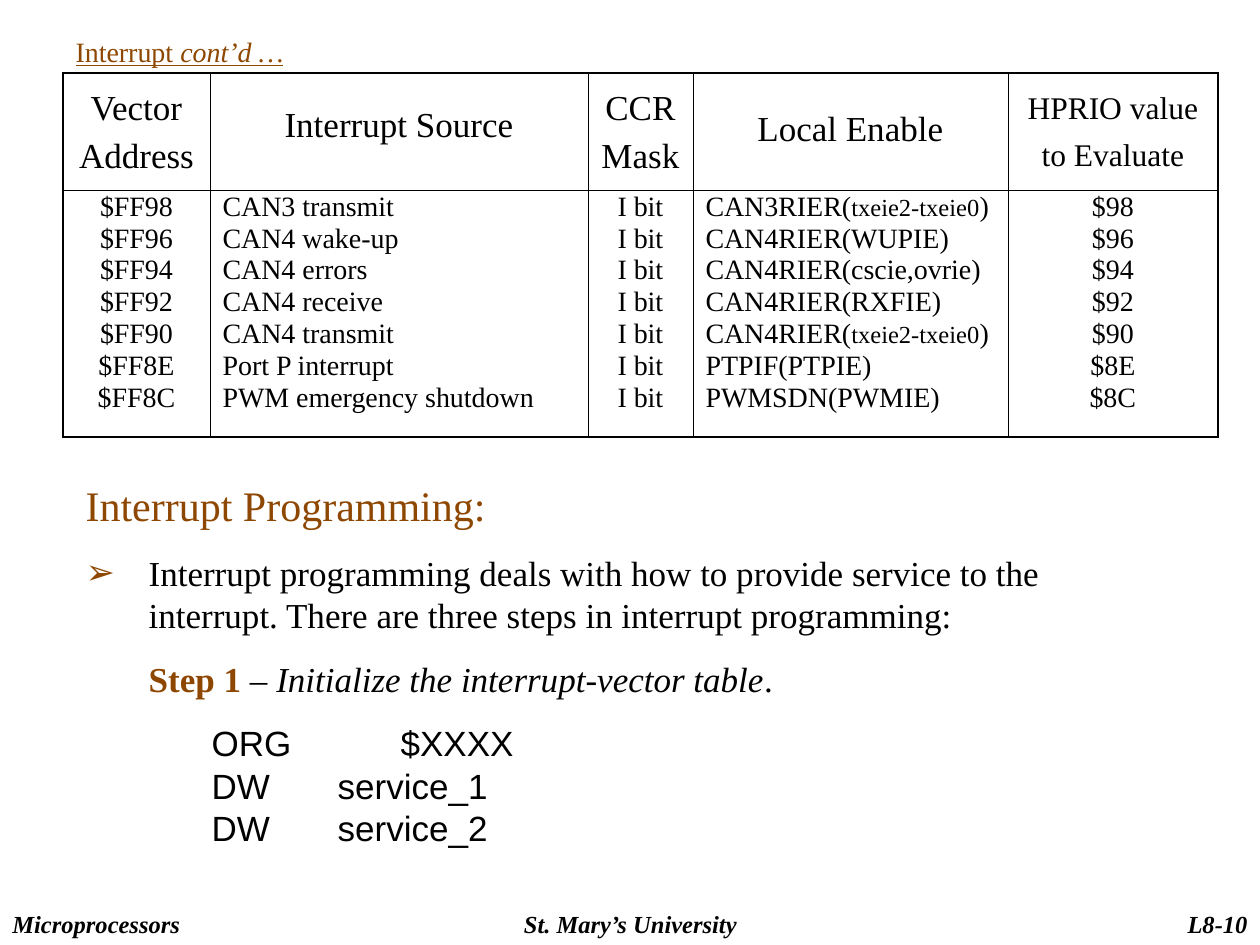
import dataclasses
import typing

import lxml.etree
import pptx
import pptx.dml.color
import pptx.enum.text
import pptx.oxml.ns
import pptx.util

EMU_PER_PX = 914400 // 126
SERIF, SANS = "Times New Roman", "Arial"
BLACK, BROWN = "000000", "8E4700"
THIN, THICK = 0.45, 1.08
ALIGN = pptx.enum.text.PP_ALIGN


@dataclasses.dataclass(frozen=True)
class Run:
    text: str
    size: int = 20
    color: str = BLACK
    font: str = SERIF
    bold: bool = False
    italic: bool = False
    underline: bool = False


@dataclasses.dataclass(frozen=True)
class Paragraph:
    runs: tuple[Run, ...]
    align: ALIGN = ALIGN.LEFT
    spacing: float = 1.0
    before: float = 0
    level: int = 0
    margin: int = 0
    indent: int = 0
    bullet: str = ""
    tabs: tuple[int, ...] = ()


@dataclasses.dataclass(frozen=True)
class Column:
    heading: str
    width: int
    entries: tuple[str, ...]
    align: ALIGN = ALIGN.CENTER
    heading_spacing: float = 1.25
    heading_size: int = 20


def px(length: int) -> int:
    return pptx.util.Emu(length * EMU_PER_PX)


def rgb(color: str) -> pptx.dml.color.RGBColor:
    return pptx.dml.color.RGBColor.from_string(color)


def add_element(parent: typing.Any, tag: str, **attributes: str) -> typing.Any:
    return lxml.etree.SubElement(parent, pptx.oxml.ns.qn(tag), **attributes)


def write(frame: typing.Any, paragraphs: typing.Sequence[Paragraph]) -> None:
    for index, content in enumerate(paragraphs):
        paragraph = frame.paragraphs[0] if index == 0 else frame.add_paragraph()
        properties = paragraph._p.get_or_add_pPr()
        properties.set("marL", str(px(content.margin)))
        properties.set("indent", str(px(content.indent)))
        if content.bullet:
            bullet_color = add_element(properties, "a:buClr")
            add_element(bullet_color, "a:srgbClr", val=BROWN)
            add_element(properties, "a:buChar", char=content.bullet)
        else:
            add_element(properties, "a:buNone")
        if content.tabs:
            tab_list = add_element(properties, "a:tabLst")
            for stop in content.tabs:
                add_element(tab_list, "a:tab", pos=str(px(stop)), algn="l")
        paragraph.level = content.level
        paragraph.alignment = content.align
        paragraph.line_spacing = content.spacing
        paragraph.space_before = pptx.util.Pt(content.before if index else 0)
        for part in content.runs:
            run = paragraph.add_run()
            run.text = part.text
            font = run.font
            font.name, font.size = part.font, pptx.util.Pt(part.size)
            font.bold, font.italic = part.bold, part.italic
            font.underline = part.underline
            font.color.rgb = rgb(part.color)


def fill_box(shape: typing.Any, left: int, top: int, width: int, height: int,
             paragraphs: typing.Sequence[Paragraph]) -> None:
    shape.left, shape.top = px(left), px(top)
    shape.width, shape.height = px(width), px(height)
    frame = shape.text_frame
    frame.word_wrap = True
    frame.auto_size = pptx.enum.text.MSO_AUTO_SIZE.NONE
    frame.vertical_anchor = pptx.enum.text.MSO_ANCHOR.TOP
    write(frame, paragraphs)


def set_borders(cell: typing.Any, widths: dict[str, float]) -> None:
    """Draw the sides, keyed L, R, T and B in schema order, ahead of the fill."""
    properties = cell._tc.get_or_add_tcPr()
    for position, (side, width) in enumerate(widths.items()):
        line = add_element(properties, f"a:ln{side}", w=str(pptx.util.Pt(width)))
        add_element(add_element(line, "a:solidFill"), "a:srgbClr", val=BLACK)
        properties.insert(position, line)


def entry_runs(entry: str) -> tuple[Run, ...]:
    """Split an entry at bars; every second piece is set smaller."""
    return tuple(Run(piece, 14 if index % 2 else 16)
                 for index, piece in enumerate(entry.split("|")))


def add_vector_table(slide: typing.Any, columns: typing.Sequence[Column]) -> None:
    heights = (117, 247)
    table = slide.shapes.add_table(
        2, len(columns), px(63), px(73),
        px(sum(column.width for column in columns)), px(sum(heights))).table
    table.first_row = table.horz_banding = False
    for row, height in zip(table.rows, heights):
        row.height = px(height)
    for index, column in enumerate(columns):
        table.columns[index].width = px(column.width)
        heading = Paragraph((Run(column.heading, column.heading_size),),
                            ALIGN.CENTER, column.heading_spacing)
        entries = [Paragraph(entry_runs(entry), column.align, 0.8, 4)
                   for entry in column.entries]
        for row, content in enumerate(([heading], entries)):
            cell = table.cell(row, index)
            cell.margin_left = cell.margin_right = pptx.util.Inches(0.1)
            cell.margin_top = cell.margin_bottom = pptx.util.Inches(0.05)
            cell.fill.background()
            write(cell.text_frame, content)
            set_borders(cell, {
                "L": THICK if index == 0 else THIN,
                "R": THICK if index == len(columns) - 1 else THIN,
                "T": THICK if row == 0 else THIN,
                "B": THICK if row == 1 else THIN,
            })


ADDRESSES = ("98", "96", "94", "92", "90", "8E", "8C")
COLUMNS = (
    Column("Vector Address", 147, tuple(f"$FF{low}" for low in ADDRESSES)),
    Column("Interrupt Source", 378, (
        "CAN3 transmit", "CAN4 wake-up", "CAN4 errors", "CAN4 receive",
        "CAN4 transmit", "Port P interrupt", "PWM emergency shutdown",
    ), ALIGN.LEFT, 1.7),
    Column("CCR Mask", 105, ("I bit",) * len(ADDRESSES)),
    Column("Local Enable", 315, (
        "CAN3RIER(|txeie2-txeie0|)", "CAN4RIER(WUPIE)", "CAN4RIER(cscie,ovrie)",
        "CAN4RIER(RXFIE)", "CAN4RIER(|txeie2-txeie0|)", "PTPIF(PTPIE)",
        "PWMSDN(PWMIE)",
    ), ALIGN.LEFT, 1.8),
    Column("HPRIO value to Evaluate", 210, tuple(f"${low}" for low in ADDRESSES),
           heading_spacing=1.35, heading_size=18),
)
TITLE = Paragraph((
    Run("Interrupt ", 16, BROWN, underline=True),
    Run("cont’d …", 16, BROWN, italic=True, underline=True),
))
CODE = (("ORG", "$XXXX", 1.0, 12.5), ("DW", "service_1", 0.8, 5),
        ("DW", "service_2", 0.8, 5))
PROGRAMMING = [
    Paragraph((Run("Interrupt Programming:", 24, BROWN),), margin=63, indent=-63),
    Paragraph((Run("Interrupt programming deals with how to provide service to the "
                   "interrupt. There are three steps in interrupt programming:"),),
              before=12.5, margin=63, indent=-63, bullet="➢"),
    Paragraph((Run("Step 1", color=BROWN, bold=True), Run(" – "),
               Run("Initialize the interrupt-vector table", italic=True), Run(".")),
              before=12.5, level=1, margin=126, indent=-63),
    *(Paragraph((Run(f"\t\t{directive}\t\t{operand}", font=SANS),), spacing=spacing,
                before=before, level=1, tabs=(126, 252, 378, 504))
      for directive, operand, spacing, before in CODE),
]
FOOTERS = (
    ("Microprocessors", 0, 252, ALIGN.LEFT),
    ("St. Mary’s University", 431, 399, ALIGN.CENTER),
    ("L8-10", 1124, 136, ALIGN.RIGHT),
)


def main() -> None:
    presentation = pptx.Presentation()
    presentation.slide_width, presentation.slide_height = px(1260), px(945)
    slide = presentation.slides.add_slide(presentation.slide_layouts[1])
    for text, left, width, align in FOOTERS:
        footer = Paragraph((Run(text, 14, bold=True, italic=True),), align)
        fill_box(slide.shapes.add_textbox(0, 0, 0, 0), left, 903, width, 42, [footer])
    fill_box(slide.shapes.title, 63, 28, 1124, 46, [TITLE])
    add_vector_table(slide, COLUMNS)
    fill_box(slide.placeholders[1], 73, 473, 1113, 382, PROGRAMMING)
    presentation.save("out.pptx")


if __name__ == "__main__":
    main()
